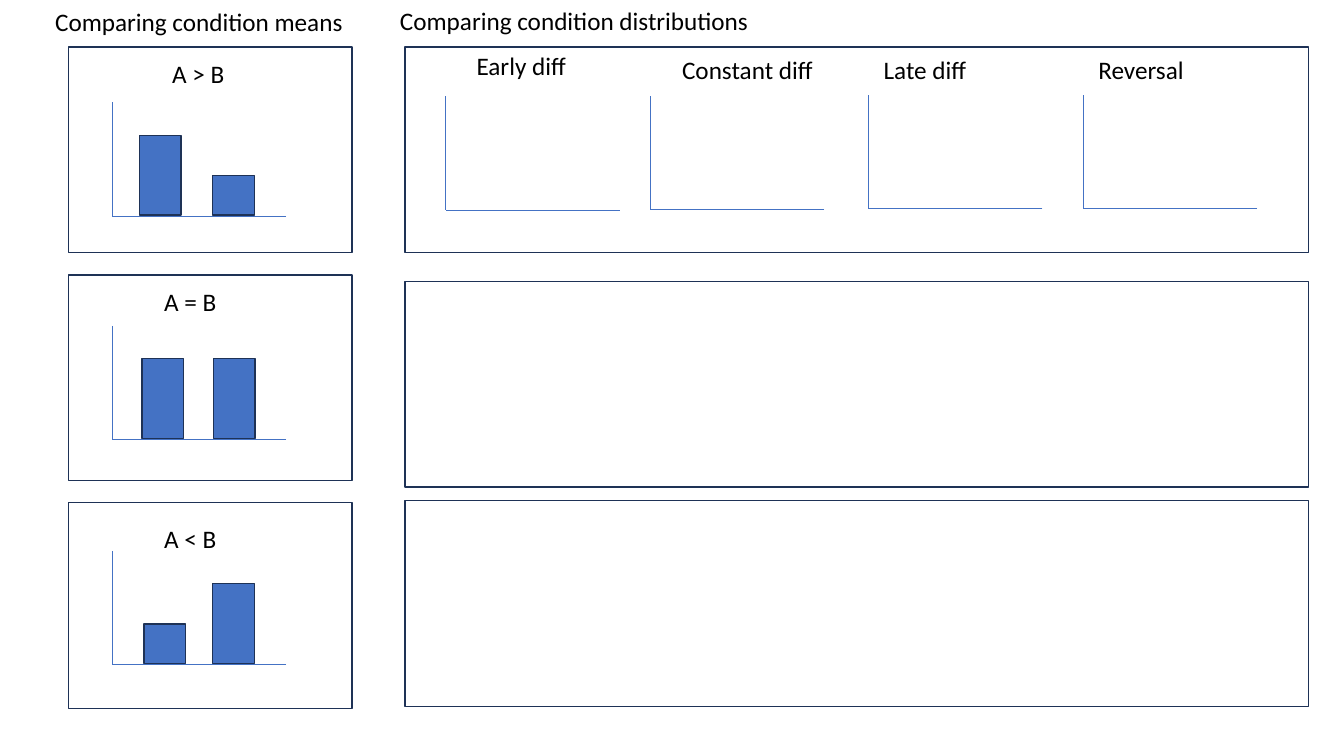
from pptx import Presentation
from pptx import util as u
from pptx.dml.color import RGBColor
from pptx.enum import shapes, text
from pptx.oxml import ns
from lxml import etree

BLUE = RGBColor(0x44, 0x72, 0xC4)
NAVY = RGBColor(0x1E, 0x32, 0x56)
BLACK = RGBColor(0, 0, 0)

PANEL_HEIGHT = 5.18
PANEL_TOP = 1.19
MEANS_STEP = 5.74
AXIS_LEFT, AXIS_WIDTH, AXIS_HEIGHT = 2.82, 4.39, 2.86
BAR_WIDTH, TALL, SHORT = 1.05, 2.01, 1.0
LABEL_HEIGHT = 1.02

MEANS = [
    ("A > B", 4.09, 1.35, 5.44, [(3.51, TALL), (5.36, SHORT)]),
    ("A = B", 3.89, 7.09, 11.07, [(3.58, TALL), (5.38, TALL)]),
    ("A < B", 3.89, 13.06, 16.74, [(3.63, SHORT), (5.36, TALL)]),
]
DISTRIBUTION_TOPS = [PANEL_TOP, 7.09, 12.62]
DISTRIBUTIONS = [
    ("Early diff", 11.76, 1.14, 3.56, 11.23, 5.29),
    ("Constant diff", 16.94, 1.24, 4.24, 16.38, 5.28),
    ("Late diff", 22.02, 1.24, 4.24, 21.88, 5.26),
    ("Reversal", 27.43, 1.24, 4.24, 27.29, 5.26),
]


class Sketch:
    def __init__(self, slide):
        self.slide = slide
        self.font_name = "Calibri"
        self.font_size = u.Pt(18)

    def rectangle(self, left, top, width, height, fill=None):
        box = self.slide.shapes.add_shape(
            shapes.MSO_SHAPE.RECTANGLE,
            u.Cm(left), u.Cm(top), u.Cm(width), u.Cm(height))
        box.shadow.inherit = False
        if fill is None:
            box.fill.background()
        else:
            box.fill.solid()
            box.fill.fore_color.rgb = fill
        box.line.color.rgb = NAVY
        box.line.width = u.Pt(1)

    def label(self, words, left, top, width):
        box = self.slide.shapes.add_textbox(
            u.Cm(left), u.Cm(top), u.Cm(width), u.Cm(LABEL_HEIGHT))
        frame = box.text_frame
        frame.word_wrap = True
        frame.auto_size = text.MSO_AUTO_SIZE.SHAPE_TO_FIT_TEXT
        para = frame.paragraphs[0]
        para.text = words
        para.font.name = self.font_name
        para.font.size = self.font_size
        para.font.color.rgb = BLACK

    def line(self, start_x, start_y, end_x, end_y):
        line = self.slide.shapes.add_connector(
            shapes.MSO_CONNECTOR.STRAIGHT,
            u.Cm(start_x), u.Cm(start_y), u.Cm(end_x), u.Cm(end_y))
        line.line.color.rgb = BLUE
        line.line.width = u.Pt(0.5)
        etree.SubElement(line._element.spPr, ns.qn("a:effectLst"))

    def axes(self, left, base):
        self.line(left, base - AXIS_HEIGHT, left, base)
        self.line(left + AXIS_WIDTH, base, left, base)

    def bar(self, left, base, height):
        self.rectangle(left, base - height, BAR_WIDTH, height, BLUE)


def main():
    deck = Presentation()
    deck.slide_width, deck.slide_height = u.Cm(33.87), u.Cm(19.05)
    sketch = Sketch(deck.slides.add_slide(deck.slide_layouts[6]))

    sketch.label("Comparing condition means", 1.14, 0.03, 8.69)
    sketch.label("Comparing condition distributions", 9.83, 0, 10.03)

    for row, (words, left, top, base, bars) in enumerate(MEANS):
        sketch.rectangle(1.73, PANEL_TOP + row * MEANS_STEP, 7.14, PANEL_HEIGHT)
        sketch.axes(AXIS_LEFT, base)
        for bar_left, height in bars:
            sketch.bar(bar_left, base - 0.02, height)
        sketch.label(words, left, top, 2.51)

    for top in DISTRIBUTION_TOPS:
        sketch.rectangle(10.21, top, 22.76, PANEL_HEIGHT)
    for words, left, top, width, axis_left, base in DISTRIBUTIONS:
        sketch.axes(axis_left, base)
        sketch.label(words, left, top, width)

    deck.save("out.pptx")


if __name__ == "__main__":
    main()
